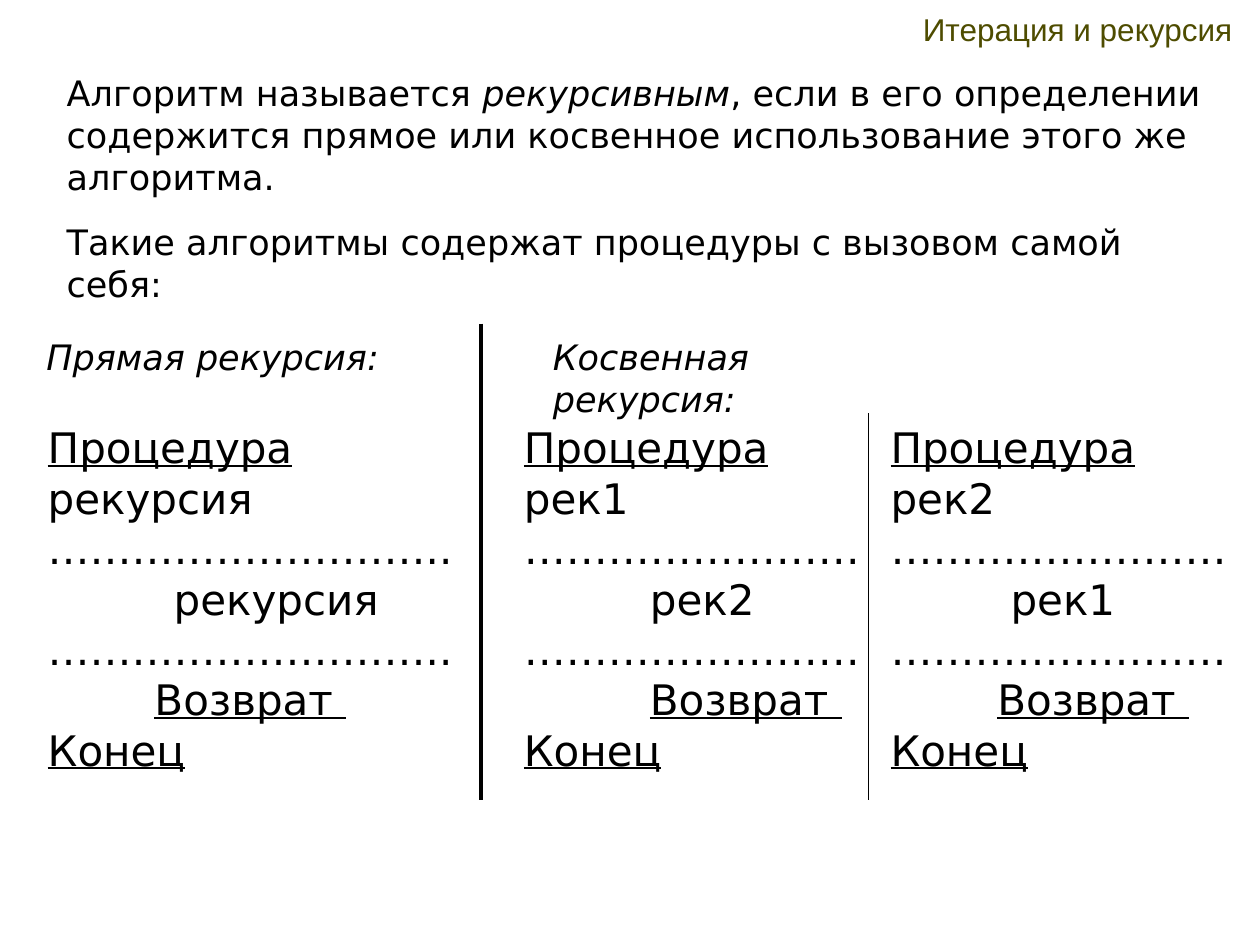
import pptx
import pptx.util
import pptx.dml.color
import pptx.enum.shapes
import pptx.enum.text
import pptx.oxml.ns
import lxml.etree

Pt = pptx.util.Pt
COLORS = {"title": "4E4C00", "text": "000000"}
FONT = "DejaVu Sans"

presentation = pptx.Presentation()
presentation.slide_width = Pt(720)
presentation.slide_height = Pt(540)
slide = presentation.slides.add_slide(presentation.slide_layouts[5])


def set_font(font, name, size, color):
    font.name = name
    font.size = Pt(size)
    font.color.rgb = pptx.dml.color.RGBColor.from_string(COLORS[color])


def add_text_frame(left, top, width, height):
    frame = slide.shapes.add_textbox(Pt(left), Pt(top), Pt(width), Pt(height)).text_frame
    frame.word_wrap = True
    return frame


# Title
title = slide.shapes.title
title.left, title.top, title.width, title.height = Pt(63.4), Pt(9.4), Pt(648), Pt(21.6)
title.text_frame.text = "Итерация и рекурсия"
title.text_frame.vertical_anchor = pptx.enum.text.MSO_ANCHOR.BOTTOM
paragraph = title.text_frame.paragraphs[0]
paragraph.alignment = pptx.enum.text.PP_ALIGN.RIGHT
set_font(paragraph.font, "Arial", 18, "title")

# Definition and column headings: box, then runs as (text, italic)
statements = [
    ((31, 37.4, 680.4, 79.2), [
        ("Алгоритм называется ", False),
        ("рекурсивным", True),
        (", если в его определении содержится прямое или косвенное "
         "использование этого же алгоритма.", False)]),
    ((31, 122.4, 663, 31.7),
     [("Такие алгоритмы содержат процедуры с вызовом самой себя:", False)]),
    ((19.4, 188, 221, 31.7), [("Прямая рекурсия:", True)]),
    ((308.9, 188, 221, 31.7), [("Косвенная рекурсия:", True)]),
]
for box, runs in statements:
    paragraph = add_text_frame(*box).paragraphs[0]
    paragraph.space_before = Pt(12.5)
    set_font(paragraph.font, FONT, 20, "text")
    for text, italic in runs:
        run = paragraph.add_run()
        run.text = text
        run.font.italic = italic

# Procedures: left, width, name, called procedure, dots, call indent, return indent
procedures = [
    (20.2, 255, "рекурсия", "рекурсия", "………………………..", 72, 61),
    (292.3, 209.5, "рек1", "рек2", "……………………", 72, 72),
    (501.8, 209.5, "рек2", "рек1", "……………………", 68.6, 61),
]
for left, width, name, called, dots, call_indent, return_indent in procedures:
    frame = add_text_frame(left, 237.6, width, 208.8)
    lines = [
        ("Процедура", 0, True),
        (name, 0, False),
        (dots, 0, False),
        (called, call_indent, False),
        (dots, 0, False),
        ("Возврат ", return_indent, True),
        ("Конец", 0, True),
    ]
    for index, (text, indent, underline) in enumerate(lines):
        paragraph = frame.add_paragraph() if index else frame.paragraphs[0]
        run = paragraph.add_run()
        run.text = text
        set_font(paragraph.font, FONT, 24, "text")
        run.font.underline = underline
        properties = paragraph._p.get_or_add_pPr()
        properties.set("marL", str(Pt(indent)))
        properties.set("indent", "0")

# Column dividers: x, top, line width
for x, top, line_width in [(275, 185, 2), (496.1, 236.2, 0.75)]:
    divider = slide.shapes.add_connector(
        pptx.enum.shapes.MSO_CONNECTOR.STRAIGHT, Pt(x), Pt(top), Pt(x), Pt(457.2))
    divider.line.width = Pt(line_width)
    divider.line.color.rgb = pptx.dml.color.RGBColor.from_string(COLORS["text"])
    lxml.etree.SubElement(divider._element.spPr, pptx.oxml.ns.qn("a:effectLst"))

presentation.save("out.pptx")
